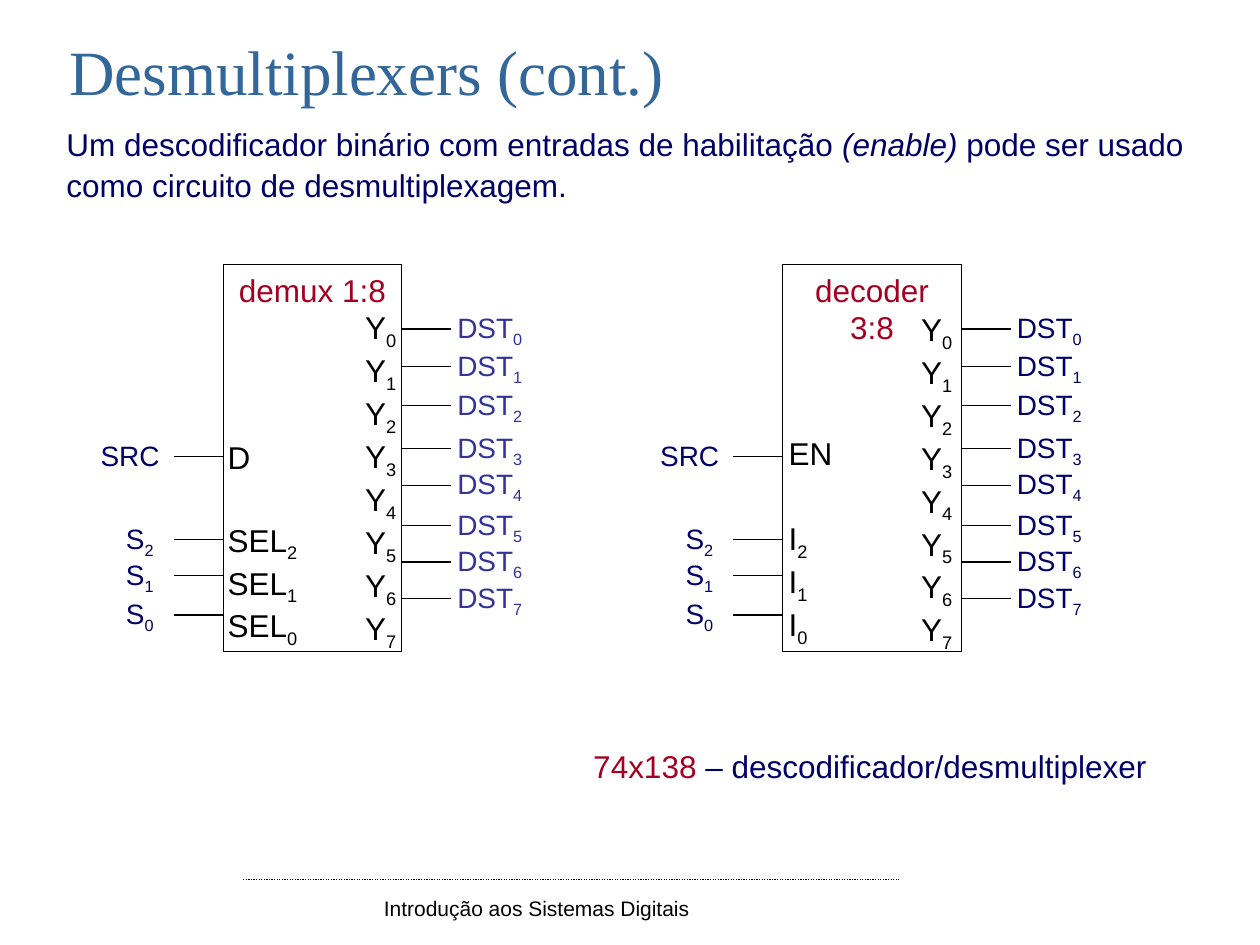
from dataclasses import dataclass

from lxml import etree
from pptx import Presentation
from pptx.dml.color import RGBColor
from pptx.enum.dml import MSO_LINE
from pptx.enum.shapes import MSO_CONNECTOR, MSO_SHAPE
from pptx.enum.text import MSO_ANCHOR, MSO_AUTO_SIZE, PP_ALIGN
from pptx.oxml.ns import qn
from pptx.util import Cm, Pt

STRAIGHT = MSO_CONNECTOR.STRAIGHT
RECTANGLE = MSO_SHAPE.RECTANGLE
TOP = MSO_ANCHOR.TOP
FIT_SHAPE = MSO_AUTO_SIZE.SHAPE_TO_FIT_TEXT
NO_FIT = MSO_AUTO_SIZE.NONE
CENTER, LEFT = PP_ALIGN.CENTER, PP_ALIGN.LEFT
DOTTED = MSO_LINE.ROUND_DOT

COLORS = {
    "title": "336699",
    "navy": "000066",
    "indigo": "333399",
    "red": "A50021",
    "black": "000000",
    "white": "FFFFFF",
}

# Lengths in centimetres, measured from the left panel
PANEL_SHIFT = 11.28
BLOCK_LEFT, BLOCK_TOP, BLOCK_WIDTH, BLOCK_HEIGHT = 4.5, 5.33, 3.6, 7.8
WIRE_LENGTH = 1.0
LABEL_RISE = 0.49
OUTPUT_ROWS = (6.63, 7.39, 8.18, 9.04, 9.78, 10.59, 11.33, 12.07)
INPUT_ROWS = {"SRC": 9.2, "S_2": 10.87, "S_1": 11.6, "S_0": 12.4}


@dataclass(frozen=True)
class Run:
    text: str
    color: str
    size: float = 18
    font: str = "Arial"
    italic: bool = False
    subscript: bool = False


@dataclass(frozen=True)
class PinList:
    names: tuple[str, ...]
    left: float
    top: float
    width: float
    height: float


@dataclass(frozen=True)
class Panel:
    name: str
    shift: float
    output_color: str
    pins: tuple[PinList, ...]


def rgb(color: str) -> RGBColor:
    return RGBColor.from_string(COLORS[color])


def signal(name: str, color: str, size: float) -> list[Run]:
    """Split a name such as Y_0 into its letter and its subscript."""
    base, _, index = name.partition("_")
    runs = [Run(base, color, size)]
    if index:
        runs.append(Run(index, color, size, subscript=True))
    return runs


def write(frame, lines: list[list[Run]], align=LEFT, spacing: float = 1.0) -> None:
    for number, runs in enumerate(lines):
        paragraph = frame.paragraphs[0] if number == 0 else frame.add_paragraph()
        layout = {"alignment": align, "line_spacing": spacing}
        for key, value in layout.items():
            setattr(paragraph, key, value)
        for item in runs:
            run = paragraph.add_run()
            run.text = item.text
            formats = {"name": item.font, "size": Pt(item.size), "italic": item.italic}
            for key, value in formats.items():
                setattr(run.font, key, value)
            run.font.color.rgb = rgb(item.color)
            if item.subscript:
                run._r.get_or_add_rPr().set("baseline", "-25000")


def add_text(slide, left: float, top: float, width: float, height: float,
             lines: list[list[Run]], wrap: bool = False, spacing: float = 1.0) -> None:
    box = slide.shapes.add_textbox(Cm(left), Cm(top), Cm(width), Cm(height))
    box.text_frame.word_wrap = wrap
    box.text_frame.auto_size = FIT_SHAPE
    write(box.text_frame, lines, spacing=spacing)


def add_line(slide, left: float, y: float, length: float, dash=None) -> None:
    line = slide.shapes.add_connector(STRAIGHT, Cm(left), Cm(y), Cm(left + length), Cm(y))
    line.line.color.rgb = rgb("black")
    line.line.width = Pt(0.75)
    if dash is not None:
        line.line.dash_style = dash
    etree.SubElement(line._element.spPr, qn("a:effectLst"))


def add_block(slide, panel: Panel) -> None:
    block = slide.shapes.add_shape(RECTANGLE, Cm(BLOCK_LEFT + panel.shift), Cm(BLOCK_TOP),
                                   Cm(BLOCK_WIDTH), Cm(BLOCK_HEIGHT))
    block.shadow.inherit = False
    block.fill.solid()
    block.fill.fore_color.rgb = rgb("white")
    block.line.color.rgb = rgb("black")
    block.line.width = Pt(0.75)
    block.text_frame.word_wrap = True
    block.text_frame.vertical_anchor = TOP
    write(block.text_frame, [[Run(panel.name, "red")]], CENTER)


def add_panel(slide, panel: Panel) -> None:
    add_block(slide, panel)
    block_left = BLOCK_LEFT + panel.shift

    # Inputs on the left side
    for name, y in INPUT_ROWS.items():
        add_line(slide, block_left - WIRE_LENGTH, y, WIRE_LENGTH)
        left, width = (1.78, 1.7) if name == "SRC" else (2.29, 1.09)
        add_text(slide, left + panel.shift, y - LABEL_RISE, width, 0.94,
                 [signal(name, "navy", 16)])

    # Outputs on the right side
    for index, y in enumerate(OUTPUT_ROWS):
        add_line(slide, block_left + BLOCK_WIDTH, y, WIRE_LENGTH)
        add_text(slide, 8.97 + panel.shift, y - LABEL_RISE, 1.85, 0.94,
                 [signal(f"DST_{index}", panel.output_color, 16)])

    # Pin names inside the block
    for pin in panel.pins:
        add_text(slide, pin.left + panel.shift, pin.top, pin.width, pin.height,
                 [signal(name, "black", 18) for name in pin.names])


def add_title(slide) -> None:
    title = slide.shapes.title
    place = {"left": 1.3, "top": 0.53, "width": 12.19, "height": 1.4}
    for key, value in place.items():
        setattr(title, key, Cm(value))
    # Without side margins the title fits on one line
    formats = {"word_wrap": False, "auto_size": NO_FIT, "vertical_anchor": TOP,
               "margin_left": Cm(0), "margin_right": Cm(0),
               "margin_top": Cm(0.13), "margin_bottom": Cm(0)}
    for key, value in formats.items():
        setattr(title.text_frame, key, value)
    write(title.text_frame,
          [[Run("Desmultiplexers (cont.)", "title", 36, "Times New Roman")]], CENTER)


def main() -> None:
    deck = Presentation()
    deck.slide_width, deck.slide_height = Cm(25.4), Cm(19.05)
    slide = deck.slides.add_slide(deck.slide_layouts[5])

    # Footer
    add_line(slide, 4.9, 17.73, 13.21, DOTTED)
    add_text(slide, 7.49, 17.93, 7.01, 0.76,
             [[Run("Introdução aos Sistemas Digitais", "black", 12)]], wrap=True)

    # Title and introduction
    add_title(slide)
    add_text(slide, 1.09, 2.31, 23.47, 1.96, [[
        Run("Um descodificador binário com entradas de habilitação ", "navy"),
        Run("(enable)", "navy", italic=True),
        Run(" pode ser usado como circuito de desmultiplexagem.", "navy"),
    ]], wrap=True, spacing=1.1)

    # The two circuits
    outputs = tuple(f"Y_{index}" for index in range(8))
    panels = (
        Panel("demux 1:8", 0, "indigo", (
            PinList(outputs, 7.11, 6.09, 1.17, 7.19),
            PinList(("SEL_2", "SEL_1", "SEL_0"), 4.34, 10.37, 1.96, 2.57),
            PinList(("D",), 4.34, 8.71, 0.97, 1.02),
        )),
        Panel("decoder 3:8", PANEL_SHIFT, "navy", (
            PinList(outputs, 7.04, 6.12, 1.17, 7.19),
            PinList(("I_2", "I_1", "I_0"), 4.37, 10.34, 0.91, 2.57),
            PinList(("EN",), 4.37, 8.62, 1.4, 1.02),
        )),
    )
    for panel in panels:
        add_panel(slide, panel)

    # Part number
    add_text(slide, 11.71, 14.94, 11.76, 1.02, [[
        Run("74x138 ", "red"), Run("– descodificador/desmultiplexer", "navy"),
    ]])

    deck.save("out.pptx")


if __name__ == "__main__":
    main()
